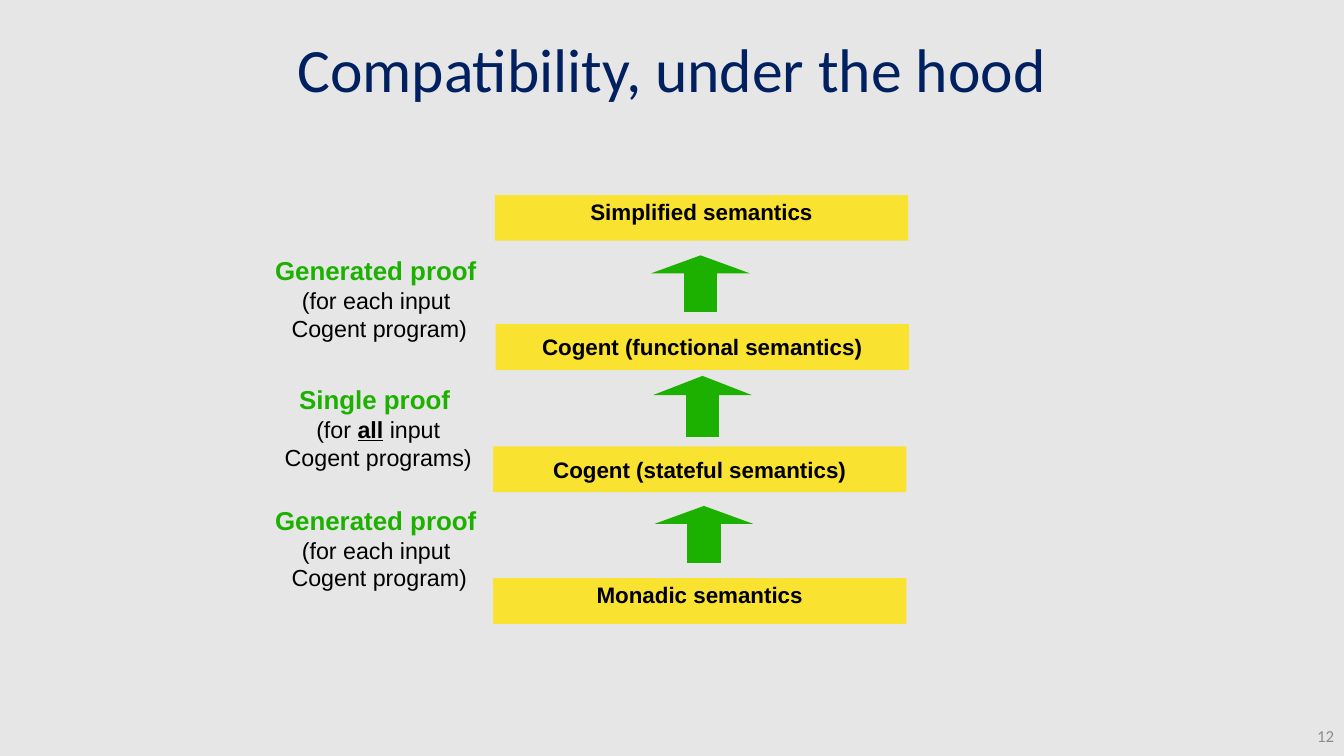
from pptx import Presentation
from pptx.dml.color import RGBColor
from pptx.enum.shapes import MSO_SHAPE as Shape
from pptx.enum.text import MSO_ANCHOR as Anchor, MSO_AUTO_SIZE as AutoSize, PP_ALIGN as Align
from pptx.util import Pt

GREY = RGBColor(0xE7, 0xE6, 0xE6)
NAVY = RGBColor(0x00, 0x20, 0x60)
YELLOW = RGBColor(0xFA, 0xE2, 0x31)
GREEN = RGBColor(0x1C, 0xB1, 0x00)
BLACK = RGBColor(0x00, 0x00, 0x00)
DIM = RGBColor(0x8C, 0x8C, 0x8C)


class ProofSlide:
    """Holds the style and the current slide, and draws its elements."""

    heading_font = "Calibri"
    body_font = "Arial"
    layer_size = (295.2, 32.6)
    arrow_width = 70.4
    shaft_width = 23.8
    shaft_drop = 9.7

    def __init__(self, deck):
        self.slide = deck.slides.add_slide(deck.slide_layouts[5])
        self.slide.background.fill.solid()
        self.slide.background.fill.fore_color.rgb = GREY

    def run(self, paragraph, text, size, color, font, bold=False, underline=False):
        run = paragraph.add_run()
        run.text = text
        run.font.size = Pt(size)
        run.font.name = font
        run.font.color.rgb = color
        run.font.bold = bold
        run.font.underline = underline

    def frame(self, shape, anchor, inset=None):
        frame = shape.text_frame
        frame.word_wrap = True
        frame.auto_size = AutoSize.NONE
        frame.vertical_anchor = anchor
        if inset:
            frame.margin_left = frame.margin_right = Pt(inset[0])
            frame.margin_top = frame.margin_bottom = Pt(inset[1])
        return frame

    def title(self, text):
        title = self.slide.shapes.title
        title.left, title.top, title.width, title.height = Pt(0), Pt(-0.7), Pt(960), Pt(104.4)
        paragraph = self.frame(title, Anchor.MIDDLE).paragraphs[0]
        paragraph.alignment = Align.CENTER
        paragraph.line_spacing = 0.9
        self.run(paragraph, text, 44, NAVY, self.heading_font)

    def number(self, text):
        number = self.slide.shapes.add_textbox(Pt(744), Pt(511.2), Pt(216), Pt(28.8))
        paragraph = self.frame(number, Anchor.MIDDLE).paragraphs[0]
        paragraph.alignment = Align.RIGHT
        self.run(paragraph, text, 12, DIM, self.heading_font)

    def paint(self, shape, color):
        shape.shadow.inherit = False
        shape.fill.solid()
        shape.fill.fore_color.rgb = color
        shape.line.fill.background()

    def layer(self, text, left, top, anchor):
        width, height = self.layer_size
        layer = self.slide.shapes.add_shape(
            Shape.RECTANGLE, Pt(left), Pt(top), Pt(width), Pt(height))
        self.paint(layer, YELLOW)
        paragraph = self.frame(layer, anchor, (3.6, 1.8)).paragraphs[0]
        paragraph.alignment = Align.CENTER
        self.run(paragraph, text, 16, BLACK, self.body_font, bold=True)

    def outline(self, group, points):
        start, *rest = [(Pt(x), Pt(y)) for x, y in points]
        builder = group.shapes.build_freeform(*start)
        builder.add_line_segments(rest, close=True)
        self.paint(builder.convert_to_shape(), GREEN)

    def arrow(self, left, top, height, head_height):
        group = self.slide.shapes.add_group_shape()
        middle, right = left + self.arrow_width / 2, left + self.arrow_width
        shaft_left, shaft_right = middle - self.shaft_width / 2, middle + self.shaft_width / 2
        shaft_top, bottom, head_base = top + self.shaft_drop, top + height, top + head_height
        self.outline(group, [(shaft_left, shaft_top), (shaft_right, shaft_top),
                             (shaft_right, bottom), (shaft_left, bottom)])
        self.outline(group, [(middle, top), (right, head_base), (left, head_base)])

    def proof(self, left, top, width, heading, scope, subject):
        label = self.slide.shapes.add_textbox(Pt(left), Pt(top), Pt(width), Pt(56.9))
        frame = self.frame(label, Anchor.TOP, (3.6, 1.8))
        first, second, third = frame.paragraphs[0], frame.add_paragraph(), frame.add_paragraph()
        for paragraph in (first, second, third):
            paragraph.alignment = Align.CENTER
        self.run(first, heading, 18.5, GREEN, self.body_font, bold=True)
        for text, strong in scope:
            self.run(second, text, 16.6, BLACK, self.body_font, strong, strong)
        self.run(third, subject, 16.6, BLACK, self.body_font)


def main():
    deck = Presentation()
    deck.slide_width, deck.slide_height = Pt(960), Pt(540)
    compatibility = ProofSlide(deck)
    compatibility.title("Compatibility, under the hood")
    compatibility.number("12")

    for text, left, top, anchor in (
        ("Simplified semantics", 353.5, 139.4, Anchor.TOP),
        ("Cogent (functional semantics)", 354, 231.6, Anchor.MIDDLE),
        ("Cogent (stateful semantics)", 352.2, 318.9, Anchor.MIDDLE),
        ("Monadic semantics", 352.2, 413, Anchor.TOP),
    ):
        compatibility.layer(text, left, top, anchor)

    for left, top, height, head_height in (
        (465.2, 182.4, 40.6, 12.8),
        (466.6, 268.5, 43.9, 13.7),
        (467.6, 361.4, 40.8, 12.8),
    ):
        compatibility.arrow(left, top, height, head_height)

    each_input = [("(for each input ", False)]
    all_input = [("(for ", False), ("all", True), (" input", False)]
    for top in (180.2, 358.7):
        compatibility.proof(182, top, 177.8, "Generated proof ", each_input, "Cogent program)")
    compatibility.proof(188.8, 272.3, 162.7, "Single proof ", all_input, "Cogent programs)")

    deck.save("out.pptx")


if __name__ == "__main__":
    main()
